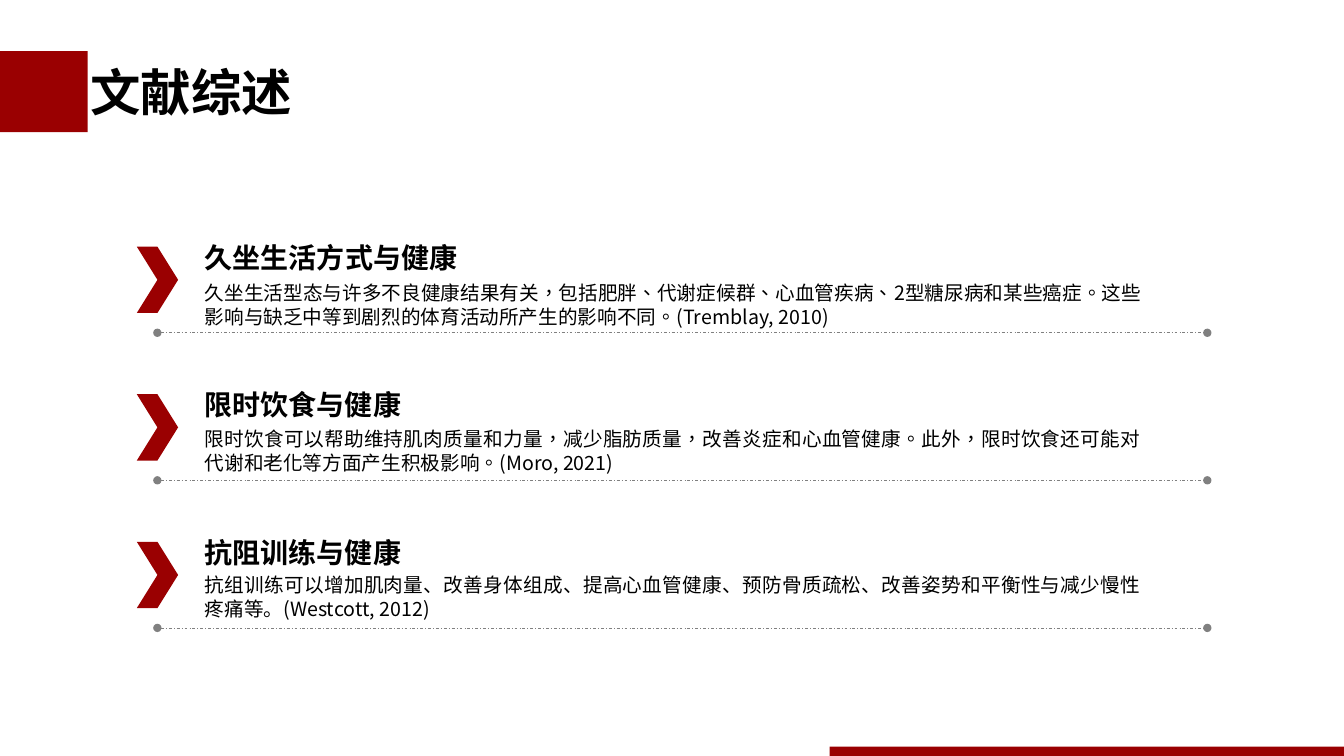
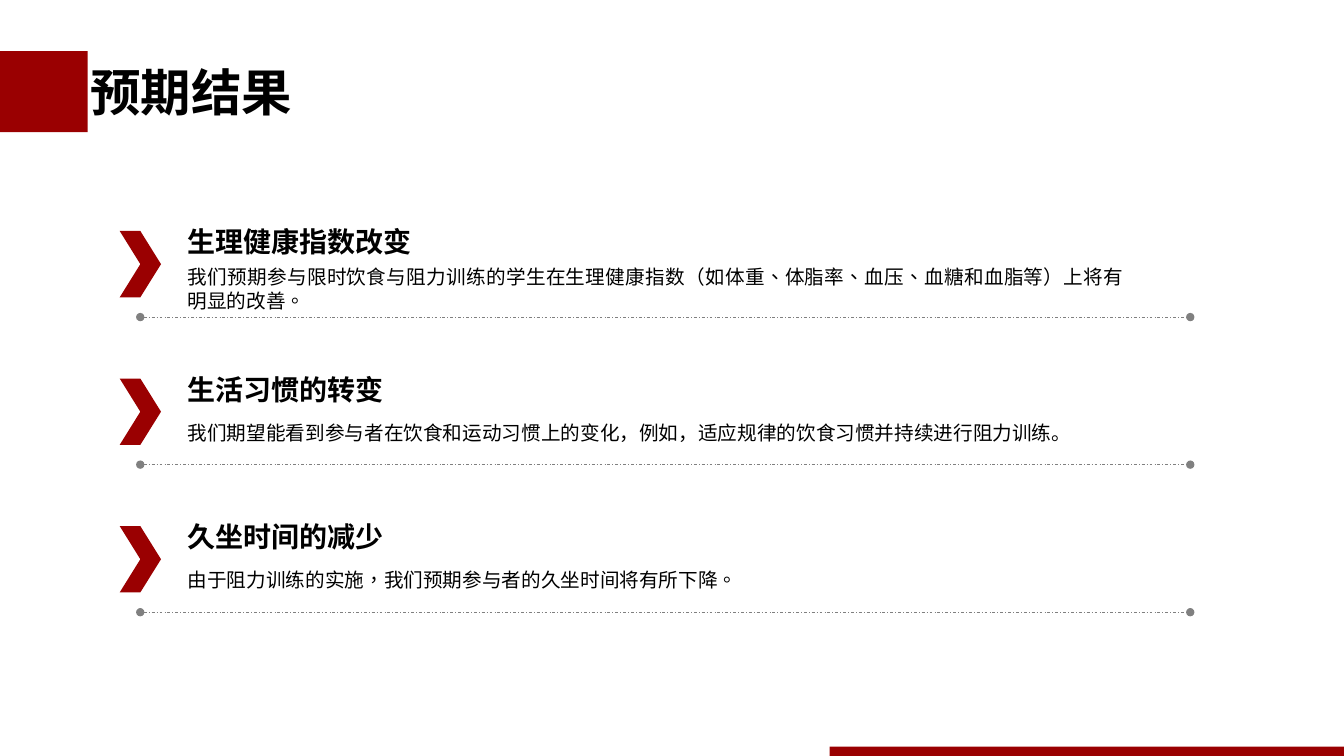
"""Build the literature review and expected results slides."""
from dataclasses import dataclass

from lxml.etree import SubElement
from pptx import Presentation
from pptx.dml.color import RGBColor
from pptx.enum.dml import MSO_LINE
from pptx.enum.shapes import MSO_CONNECTOR, MSO_SHAPE
from pptx.enum.text import MSO_AUTO_SIZE, PP_ALIGN
from pptx.oxml.ns import qn
from pptx.util import Pt


@dataclass(frozen=True)
class Theme:
    """Colours, font and type sizes shared by the slides."""
    accent: RGBColor = RGBColor(0x9A, 0x00, 0x01)
    rule: RGBColor = RGBColor(0x80, 0x80, 0x80)
    ink: RGBColor = RGBColor(0, 0, 0)
    font: str = "Noto Sans CJK SC"
    title: int = 36
    heading: int = 20
    body: int = 14


@dataclass(frozen=True)
class Point:
    """One finding: its heading, its text, the text's drop and its language."""
    heading: str
    body: str
    drop: float
    language: str = "zh-TW"


THEME = Theme()
SLIDE_W, SLIDE_H = 960, 540
POINT_STEP = 105.4
INSET = 7.2
SLACK = 4

REVIEW = [
    Point("久坐生活方式与健康",
          "久坐生活型态与许多不良健康结果有关，包括肥胖、代谢症候群、心血管疾病、2型糖尿病和某些癌症。"
          "这些影响与缺乏中等到剧烈的体育活动所产生的影响不同。(Tremblay, 2010)", 21.1),
    Point("限时饮食与健康",
          "限时饮食可以帮助维持肌肉质量和力量，减少脂肪质量，改善炎症和心血管健康。"
          "此外，限时饮食还可能对代谢和老化等方面产生积极影响。(Moro, 2021)", 20),
    Point("抗阻训练与健康",
          "抗组训练可以增加肌肉量、改善身体组成、提高心血管健康、预防骨质疏松、"
          "改善姿势和平衡性与减少慢性疼痛等。(Westcott, 2012)", 19, "zh-CN"),
]
RESULTS = [
    Point("生理健康指数改变",
          "我们预期参与限时饮食与阻力训练的学生在生理健康指数"
          "（如体重、体脂率、血压、血糖和血脂等）上将有明显的改善。", 20.9),
    Point("生活习惯的转变",
          "我们期望能看到参与者在饮食和运动习惯上的变化，例如，"
          "适应规律的饮食习惯并持续进行阻力训练。", 26.9, "zh-CN"),
    Point("久坐时间的减少",
          "由于阻力训练的实施，我们预期参与者的久坐时间将有所下降。", 26.6),
]


def add_block(shapes, kind, left, top, width, height):
    """Add a preset shape filled with the accent colour."""
    block = shapes.add_shape(kind, Pt(left), Pt(top), Pt(width), Pt(height))
    block.shadow.inherit = False
    block.fill.solid()
    block.fill.fore_color.rgb = THEME.accent
    block.line.fill.background()
    return block


def add_text(shapes, left, top, width, height, text, size,
             bold=False, wrap=False, language="zh-CN"):
    """Add a text box that holds one run."""
    box = shapes.add_textbox(Pt(left), Pt(top), Pt(width), Pt(height))
    frame = box.text_frame
    frame.word_wrap = wrap
    frame.auto_size = MSO_AUTO_SIZE.SHAPE_TO_FIT_TEXT
    paragraph = frame.paragraphs[0]
    paragraph.alignment = PP_ALIGN.JUSTIFY if wrap else PP_ALIGN.LEFT
    run = paragraph.add_run()
    run.text = text
    run.font.size = Pt(size)
    run.font.bold = bold
    run.font.name = THEME.font
    run.font.color.rgb = THEME.ink
    properties = run._r.get_or_add_rPr()
    properties.set("lang", language)
    SubElement(properties, qn("a:ea")).set("typeface", THEME.font)


def add_rule(shapes, left, top, width):
    """Add a thin dash-dot rule with a dot at either end."""
    rule = shapes.add_connector(MSO_CONNECTOR.STRAIGHT, Pt(left), Pt(top),
                                Pt(left + width), Pt(top))
    rule.line.color.rgb = THEME.rule
    rule.line.width = Pt(0.5)
    rule.line.dash_style = MSO_LINE.DASH_DOT
    outline = rule.line._get_or_add_ln()
    for end in ("a:headEnd", "a:tailEnd"):
        SubElement(outline, qn(end)).set("type", "oval")
    SubElement(rule._element.spPr, qn("a:effectLst"))


def add_frame(slide, title):
    """Add the title with its block and the band at the foot."""
    add_block(slide.shapes, MSO_SHAPE.RECTANGLE, 0, 36.5, 62.6, 58)
    band_left, band_top = 592.6, 533.3
    add_block(slide.shapes, MSO_SHAPE.RECTANGLE, band_left, band_top,
              SLIDE_W - band_left, SLIDE_H - band_top)
    add_text(slide.shapes, 57.6, 40.3, len(title) * THEME.title + 2 * INSET, 51,
             title, THEME.title, bold=True)


def add_point(slide, left, top, point):
    """Add one finding, placed from the corner of its chevron."""
    shapes = slide.shapes.add_group_shape().shapes
    chevron = add_block(shapes, MSO_SHAPE.CHEVRON, left, top, 29.5, 47.4)
    chevron.adjustments[0] = 0.5
    add_rule(shapes, left + 14.7, top + 61.5, 750)
    text_left = left + 41.5
    add_text(shapes, text_left, top - 8.2,
             len(point.heading) * THEME.heading + 2 * INSET + SLACK, 31.5,
             point.heading, THEME.heading, bold=True)
    add_text(shapes, text_left, top + point.drop, 683, 24.5,
             point.body, THEME.body, wrap=True, language=point.language)


def add_points_slide(deck, title, left, top, points):
    """Add a slide that lists findings at an even step."""
    slide = deck.slides.add_slide(deck.slide_layouts[6])
    add_frame(slide, title)
    for row, point in enumerate(points):
        add_point(slide, left, top + row * POINT_STEP, point)


def main():
    """Build and save the deck."""
    deck = Presentation()
    deck.slide_width, deck.slide_height = Pt(SLIDE_W), Pt(SLIDE_H)
    add_points_slide(deck, "文献综述", 97.7, 176.2, REVIEW)
    add_points_slide(deck, "预期结果", 85.5, 165, RESULTS)
    deck.save("out.pptx")


if __name__ == "__main__":
    main()
